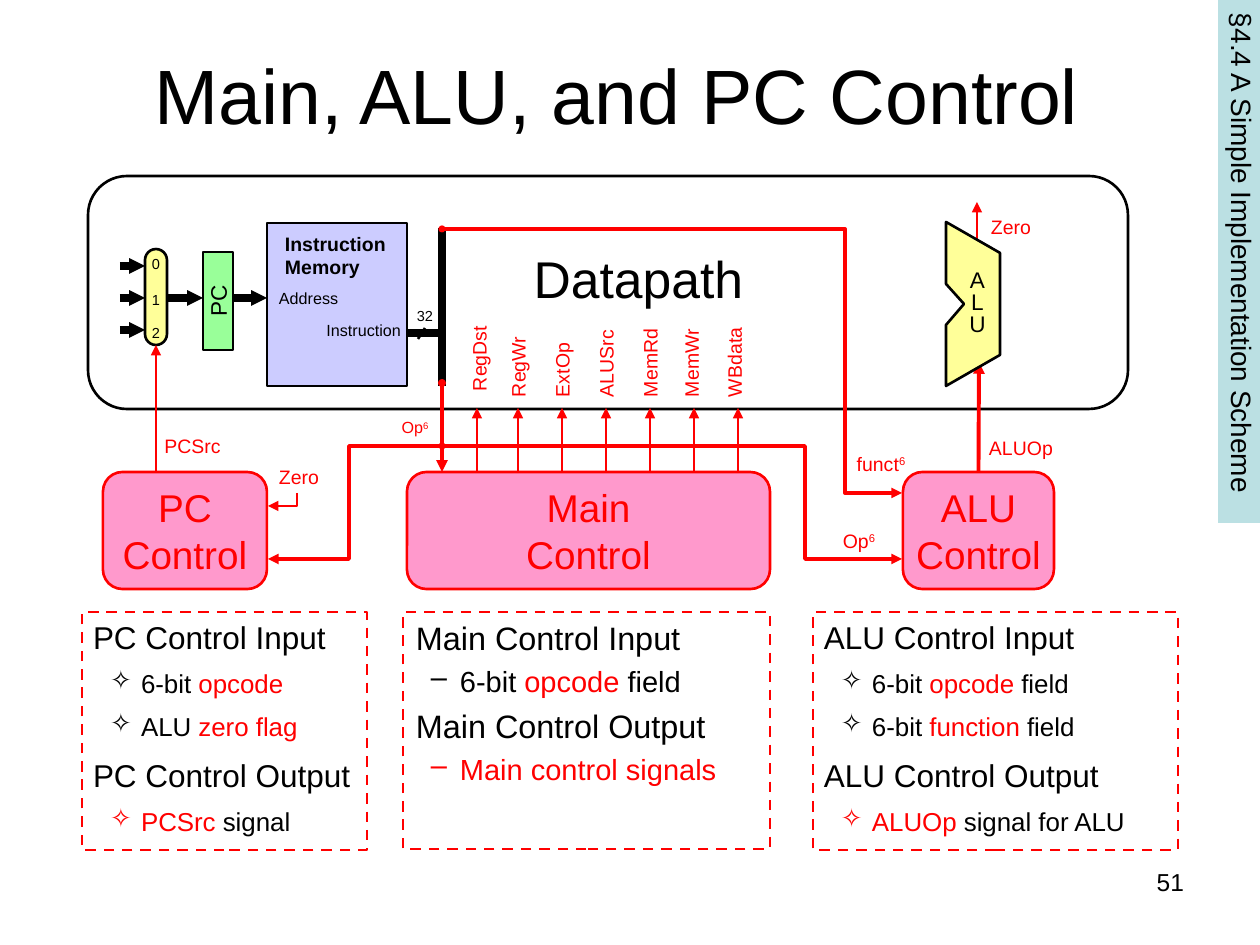
"""Build the slide on main, ALU and PC control of a single-cycle processor."""
from lxml.etree import SubElement
from pptx import Presentation
from pptx.dml.color import RGBColor
from pptx.enum.dml import MSO_LINE
from pptx.enum.shapes import MSO_CONNECTOR, MSO_SHAPE as SHAPE
from pptx.enum.text import MSO_ANCHOR as ANCHOR, PP_ALIGN as ALIGN
from pptx.oxml.ns import qn
from pptx.util import Emu, Pt

PX = 914400 / 126
BLACK = RGBColor(0x00, 0x00, 0x00)
RED = RGBColor(0xFF, 0x00, 0x00)
PINK = RGBColor(0xFF, 0x99, 0xCC)
LILAC = RGBColor(0xCC, 0xCC, 0xFF)
GREEN = RGBColor(0x99, 0xFF, 0x99)
YELLOW = RGBColor(0xFF, 0xFF, 0x99)
TEAL = RGBColor(0xBB, 0xE0, 0xE3)


def px(*lengths):
    return [Emu(round(length * PX)) for length in lengths]


class Diagram:
    font = "Arial"
    line_height = 1.15

    def __init__(self, slide):
        self.slide = slide
        self.shapes = slide.shapes

    def frame(self, shape, inset=(0, 0), anchor=ANCHOR.MIDDLE, wrap=True):
        frame = shape.text_frame
        frame.word_wrap = wrap
        frame.vertical_anchor = anchor
        frame.margin_left = frame.margin_right = px(inset[0])[0]
        frame.margin_top = frame.margin_bottom = px(inset[1])[0]
        return frame

    def paragraph(self, frame, index, runs, size, align=ALIGN.LEFT, bold=False):
        paragraph = frame.paragraphs[0] if index == 0 else frame.add_paragraph()
        paragraph.alignment = align
        for words, color, *raised in runs:
            run = paragraph.add_run()
            run.text = words
            run.font.name = self.font
            run.font.size = Pt(size)
            run.font.bold = bold
            run.font.color.rgb = color
            if raised:
                run._r.get_or_add_rPr().set("baseline", "30000")
        return paragraph

    def caption(self, shape, lines, size, color=BLACK, align=ALIGN.CENTER, bold=False,
                spacing=None, **frame_style):
        frame = self.frame(shape, **frame_style)
        for index, line in enumerate(lines.split("\n")):
            words, *exponent = line.split("^")
            runs = [(words, color)] + [(power, color, True) for power in exponent]
            paragraph = self.paragraph(frame, index, runs, size, align, bold)
            if spacing:
                paragraph.line_spacing = spacing

    def label(self, box, lines, size, color=BLACK, rotation=0, **style):
        label = self.shapes.add_textbox(*px(*box))
        label.rotation = rotation
        self.caption(label, lines, size, color, **style)

    def paint(self, shape, fill, line, width=1.5):
        shape.shadow.inherit = False
        if fill is None:
            shape.fill.background()
        else:
            shape.fill.solid()
            shape.fill.fore_color.rgb = fill
        if line is None:
            shape.line.fill.background()
        else:
            shape.line.color.rgb = line
            shape.line.width = Pt(width)

    def block(self, kind, box, fill=None, line=BLACK, rotation=0):
        block = self.shapes.add_shape(kind, *px(*box))
        block.rotation = rotation
        self.paint(block, fill, line)
        return block

    def ends(self, shape, head, tail, size):
        outline = shape.line._get_or_add_ln()
        if head:
            SubElement(outline, qn("a:headEnd"), type=head, w="sm", len="sm")
        if tail:
            SubElement(outline, qn("a:tailEnd"), type=tail, w=size, len=size)

    def wire(self, start, end, color=BLACK, width=4.5, head=None, tail="triangle",
             size="med"):
        wire = self.shapes.add_connector(MSO_CONNECTOR.STRAIGHT, *px(*start, *end))
        wire.line.color.rgb = color
        wire.line.width = Pt(width)
        self.ends(wire, head, tail, size)
        SubElement(wire._element.spPr, qn("a:effectLst"))
        return wire

    def outline(self, points, fill=None, line=BLACK, width=1.5, closed=False,
                head=None, tail=None):
        builder = self.shapes.build_freeform(*points[0], scale=PX)
        builder.add_line_segments(points[1:], close=closed)
        shape = builder.convert_to_shape()
        self.paint(shape, fill, line, width)
        self.ends(shape, head, tail, "med")

    def summary(self, box, entries, sizes, gap, bullet, indent, inset):
        panel = self.block(SHAPE.RECTANGLE, box, line=RED)
        panel.line.dash_style = MSO_LINE.DASH
        frame = self.frame(panel, inset, ANCHOR.TOP)
        for index, entry in enumerate(entries):
            heading = isinstance(entry, str)
            size = sizes[0] if heading else sizes[1]
            runs = [(entry, BLACK)] if heading else entry
            paragraph = self.paragraph(frame, index, runs, size)
            if not heading:
                properties = paragraph._p.get_or_add_pPr()
                margin, hang = px(*indent)
                properties.set("marL", str(margin))
                properties.set("indent", str(hang))
                SubElement(properties, qn("a:buChar"), char=bullet)
            if index:
                paragraph.space_before = Pt(round(gap * size * self.line_height, 1))


def draw_datapath(diagram):
    diagram.label((489, 248, 299, 60), "Datapath", 29.5)
    stage = diagram.block(SHAPE.ROUNDED_RECTANGLE, (88, 176, 1040, 233))
    stage.adjustments[0] = 0.167
    diagram.label((417, 304, 23, 23), "32", 8.3, align=ALIGN.LEFT)
    diagram.block(SHAPE.RECTANGLE, (267, 223, 140, 163), LILAC)
    diagram.label((279, 281, 87, 35), "Address", 9.2, align=ALIGN.LEFT)
    diagram.label((291, 316, 110, 29), "Instruction", 9.2, align=ALIGN.RIGHT)
    diagram.label((285, 223, 111, 64), "Instruction\nMemory", 11.1, align=ALIGN.LEFT, bold=True)
    diagram.wire((407, 333), (442, 333), tail=None)
    diagram.wire((425, 328), (418, 339), width=1.5, tail=None)
    diagram.wire((442, 228), (442, 386), tail=None)

    counter = diagram.block(SHAPE.RECTANGLE, (169, 286, 98, 30), GREEN, rotation=270)
    diagram.caption(counter, "PC", 12.9)
    selector = diagram.block(SHAPE.ROUNDED_RECTANGLE, (145, 249, 22, 96), YELLOW)
    selector.adjustments[0] = 0.5
    for choice, (top, wire_y) in enumerate([(254, 266), (290, 298), (323, 330)]):
        diagram.label((146, top, 20, 20), str(choice), 8.3)
        diagram.wire((120, wire_y), (145, wire_y), size="sm")
    diagram.wire((167, 298), (203, 298), size="sm")
    diagram.wire((233, 298), (267, 298), size="sm")
    return selector


def draw_control(diagram, selector):
    units = {}
    for name, box in [("PC", (103, 472, 164, 117)), ("Main", (407, 472, 363, 117)),
                      ("ALU", (903, 472, 151, 117))]:
        units[name] = diagram.block(SHAPE.ROUNDED_RECTANGLE, box, PINK, RED)
        units[name].adjustments[0] = 0.167
        diagram.caption(units[name], f"{name}\nControl", 22.1, RED)

    diagram.wire((442, 383), (442, 472), RED, 2.25, head="oval")
    for signal, wire_x, text_x, length, foot in [
            ("RegDst", 477, 479, 89, 391), ("RegWr", 518, 518, 89, 397),
            ("ExtOp", 562, 562, 89, 397), ("ALUSrc", 606, 606, 89, 397),
            ("MemRd", 650, 650, 89, 397), ("MemWr", 694, 691, 103, 397),
            ("WBdata", 738, 734, 111, 397)]:
        diagram.wire((wire_x, 472), (wire_x, 408), RED, 1)
        diagram.label((text_x - length / 2, foot - length / 2 - 12, length, 24), signal, 11.1,
                      RED, rotation=270, align=ALIGN.LEFT)

    diagram.wire((977, 248), (977, 202), RED, 1)
    alu_wire = diagram.wire((979, 472), (979, 362), RED, 2.25)
    alu_wire.begin_connect(units["ALU"], 0)
    select_wire = diagram.wire((156, 472), (156, 345), RED, 1.25)
    select_wire.end_connect(selector, 2)
    for route, width, head in [
            ([(442, 446), (805, 446), (805, 559), (902, 559)], 2, "oval"),
            ([(442, 229), (845, 229), (845, 493), (902, 493)], 2, "oval"),
            ([(442, 446), (349, 446), (349, 559), (268, 559)], 2, None),
            ([(297, 493), (297, 506), (268, 506)], 1, None)]:
        diagram.outline(route, line=RED, width=width, head=head, tail="triangle")
    for name, box, size in [
            ("Op^6", (397, 412, 36, 31), 9.2), ("Op^6", (821, 526, 76, 29), 11.1),
            ("ALUOp", (984, 433, 74, 29), 11.1), ("funct^6", (853, 450, 56, 28), 11.1),
            ("Zero", (983, 212, 56, 29), 11.1), ("PCSrc", (151, 431, 83, 29), 11.1),
            ("Zero", (271, 462, 56, 29), 11.1)]:
        diagram.label(box, name, size, RED)

    diagram.outline([(946, 386), (1000, 355), (1000, 253), (946, 222), (946, 284),
                     (964, 304), (946, 325)], YELLOW, closed=True)
    diagram.label((953, 257, 49, 94), "A\nL\nU", 12.9, spacing=0.8, inset=(11, 5), wrap=False)


def draw_summaries(diagram):
    opcode = [("6-bit ", BLACK), ("opcode", RED)]
    opcode_field = opcode + [(" field", BLACK)]
    diagram.summary((403, 612, 367, 237), [
        "Main Control Input", opcode_field,
        "Main Control Output", [("Main control signals", RED)],
    ], (18.5, 16.6), 0.2, "–", (44, -29), (13, 6))
    side_style = ((18, 14.8), 0.4, "✧", (48, -31), (11, 6))
    diagram.summary((82, 612, 285, 238), [
        "PC Control Input", opcode, [("ALU ", BLACK), ("zero flag", RED)],
        "PC Control Output", [("PCSrc", RED), (" signal", BLACK)],
    ], *side_style)
    diagram.summary((813, 612, 365, 238), [
        "ALU Control Input", opcode_field,
        [("6-bit ", BLACK), ("function", RED), (" field", BLACK)],
        "ALU Control Output", [("ALUOp", RED), (" signal for ALU", BLACK)],
    ], *side_style)


def main():
    deck = Presentation()
    deck.slide_width, deck.slide_height = px(1260, 945)
    diagram = Diagram(deck.slides.add_slide(deck.slide_layouts[6]))
    diagram.label((50, 15, 1134, 158), "Main, ALU, and PC Control", 44, inset=(13, 6))
    selector = draw_datapath(diagram)
    draw_control(diagram, selector)
    draw_summaries(diagram)
    section = diagram.block(SHAPE.RECTANGLE, (980, 238, 523, 47), TEAL, None, rotation=90)
    diagram.caption(section, "§4.4 A Simple Implementation Scheme", 16, align=ALIGN.LEFT,
                    inset=(13, 6), anchor=ANCHOR.TOP, wrap=False)
    diagram.label((903, 861, 294, 66), "51", 14, align=ALIGN.RIGHT, inset=(13, 6),
                  anchor=ANCHOR.TOP)
    deck.save("out.pptx")


if __name__ == "__main__":
    main()
